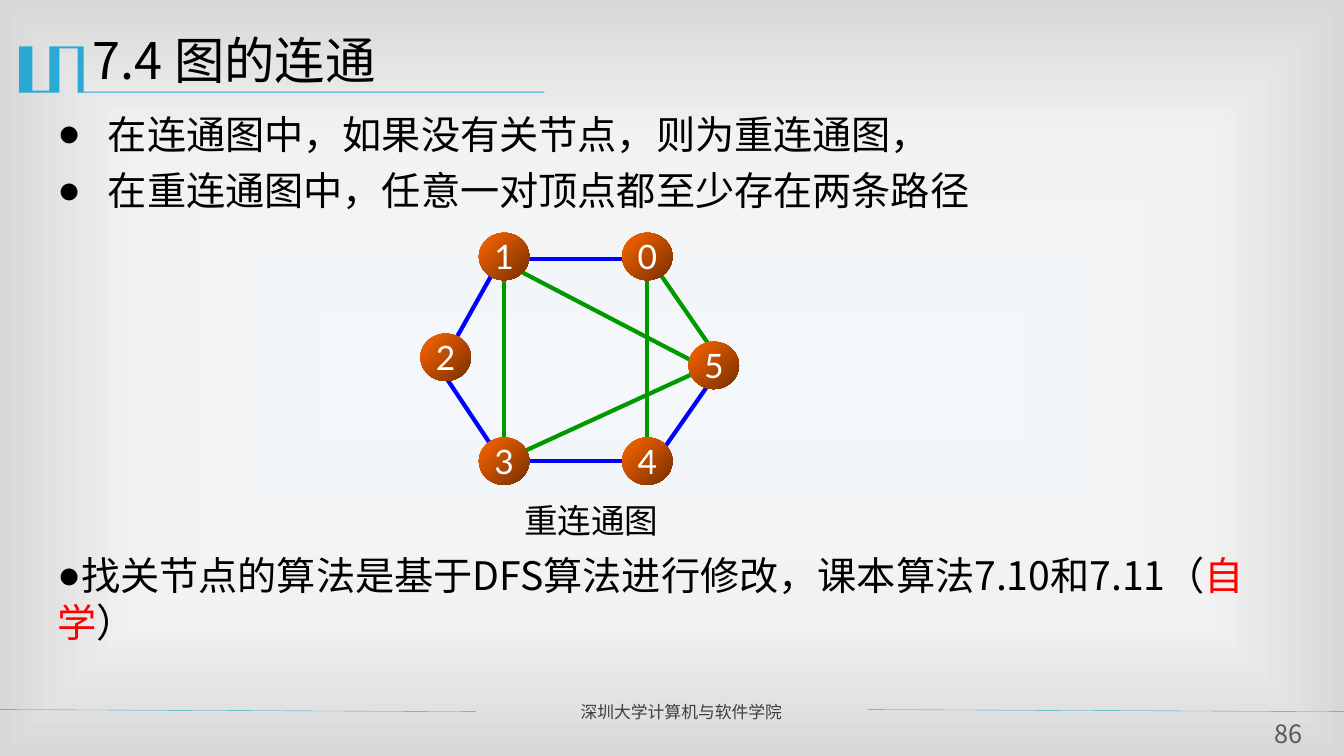
from lxml import etree
from pptx import Presentation
from pptx import util as u
from pptx.dml.color import RGBColor
from pptx.enum import shapes, text
from pptx.oxml import parse_xml
from pptx.oxml.ns import nsdecls, qn

INK = {"black": "000000", "red": "FF0000", "white": "FFFFFF", "cyan": "28A9D6",
       "blue": "0000FF", "green": "009900", "orange": "FF6600", "brown": "762F00",
       "dark": "3F3F3F", "grey": "595959",
       "core": "F4F8FB", "mid": "F2F2F2", "rim": "D8D8D8"}
SANS = "Noto Sans CJK SC"
ALIGN = text.PP_ALIGN
ANCHOR = text.MSO_ANCHOR


def rgb(name):
    return RGBColor.from_string(INK[name])


def write(para, words, size, color="black", font=SANS, align=None,
          before=None, bullet=None, hang=0):
    """Fill a paragraph with a string, or with (string, colour) pairs."""
    para.line_spacing = 1.0
    if align is not None:
        para.alignment = align
    if before is not None:
        para.space_before = u.Pt(before)
    if bullet:
        props = para._p.get_or_add_pPr()
        props.set("marL", str(u.Inches(hang)))
        props.set("indent", str(-u.Inches(hang)))
        etree.SubElement(props, qn("a:buChar")).set("char", bullet)
    parts = [(words, color)] if isinstance(words, str) else words
    for part, ink in parts:
        run = para.add_run()
        run.text = part
        run.font.size = u.Pt(size)
        run.font.name = font
        run.font.color.rgb = rgb(ink)
        east = etree.SubElement(run._r.get_or_add_rPr(), qn("a:ea"))
        east.set("typeface", font)


def place(shape, box):
    shape.left, shape.top, shape.width, shape.height = map(u.Inches, box)


def label(slide, box, words, size, inset=0.1, wrap=True, **fmt):
    frame = slide.shapes.add_textbox(*map(u.Inches, box)).text_frame
    frame.word_wrap = wrap
    frame.margin_left = frame.margin_right = u.Inches(inset)
    frame.margin_top = frame.margin_bottom = u.Inches(inset / 2)
    write(frame.paragraphs[0], words, size, **fmt)


def stroke(slide, ends, color, width):
    line = slide.shapes.add_connector(shapes.MSO_CONNECTOR.STRAIGHT, *map(u.Inches, ends))
    line.line.color.rgb = rgb(color)
    line.line.width = u.Pt(width)
    etree.SubElement(line._element.spPr, qn("a:effectLst"))


def backdrop(slide):
    stops = "".join(f'<a:gs pos="{pos}000"><a:srgbClr val="{INK[name]}"/></a:gs>'
                    for pos, name in ((0, "core"), (63, "mid"), (100, "rim")))
    slide._element.cSld.insert(0, parse_xml(
        f'<p:bg {nsdecls("p", "a")}><p:bgPr><a:gradFill><a:gsLst>{stops}</a:gsLst>'
        '<a:path path="rect"><a:fillToRect l="50000" t="50000" r="50000" b="50000"/>'
        '</a:path></a:gradFill><a:effectLst/></p:bgPr></p:bg>'))


def banner(slide, box):
    """Meander ornament that runs out into the rule under the title."""
    left, top, wide, high = box
    points = [(0.63, 0), (0.64, 0), (0.64, high - 0.01), (wide, high - 0.01),
              (wide, high), (0.58, high), (0.58, 0.02), (0.4, 0.02), (0.4, high),
              (0, high), (0, 0), (0.13, 0), (0.13, 0.44), (0.3, 0.44), (0.3, 0)]
    spots = [(u.Inches(left + x), u.Inches(top + y)) for x, y in points]
    build = slide.shapes.build_freeform(*spots[0])
    build.add_line_segments(spots[1:], close=True)
    shape = build.convert_to_shape()
    shape.shadow.inherit = False
    shape.fill.solid()
    shape.fill.fore_color.rgb = rgb("cyan")
    shape.line.fill.background()


def heading(slide, box):
    title = slide.shapes.title
    place(title, box)
    frame = title.text_frame
    frame.vertical_anchor = ANCHOR.TOP
    frame.auto_size = text.MSO_AUTO_SIZE.NONE
    write(frame.paragraphs[0], "7.4 图的连通", 36, align=ALIGN.LEFT)


def points(slide, box):
    body = slide.placeholders[1]
    place(body, box)
    frame = body.text_frame
    frame.auto_size = text.MSO_AUTO_SIZE.NONE
    rows = [("在连通图中，如果没有关节点，则为重连通图，", 0, 0.5),
            ("在重连通图中，任意一对顶点都至少存在两条路径", 6.5, 0.5),
            ([("找关节点的算法是基于DFS算法进行修改，课本算法7.10和7.11（", "black"),
              ("自学", "red"), ("）", "black")], 241.5, 0)]
    for i, (words, before, hang) in enumerate(rows):
        para = frame.add_paragraph() if i else frame.paragraphs[0]
        write(para, words, 28, before=before, bullet="●", hang=hang)


def node(slide, box, name):
    ball = slide.shapes.add_shape(shapes.MSO_SHAPE.OVAL, *map(u.Inches, box))
    ball.shadow.inherit = False
    ball.line.fill.background()
    ball.fill.gradient()
    ball.fill.gradient_angle = 315
    for stop, color in zip(ball.fill.gradient_stops, ("orange", "brown")):
        stop.color.rgb = rgb(color)
    frame = ball.text_frame
    frame.word_wrap = False
    frame.vertical_anchor = ANCHOR.MIDDLE
    frame.margin_left = frame.margin_right = 0
    write(frame.paragraphs[0], name, 24, "white", "Lato", ALIGN.CENTER)


def graph(slide, box):
    left, top, wide, high = box
    edges = {
        "blue": [(2.08, 0.26, 1.08, 0.26), (0.75, 0.34, 0.33, 1.09),
                 (0.75, 2.18, 0.25, 1.43), (2.16, 2.26, 0.91, 2.26),
                 (2.91, 1.43, 2.33, 2.26)],
        "green": [(2.25, 0.43, 2.25, 2.09), (2.33, 0.34, 2.91, 1.18),
                  (0.83, 2.18, 0.83, 0.43), (2.83, 1.34, 0.91, 0.34),
                  (2.83, 1.34, 1, 2.18)]}
    for color, lines in edges.items():
        for x1, y1, x2, y2 in lines:
            stroke(slide, (left + x1, top + y1, left + x2, top + y2), color, 3)
    nodes = {"1": (0.58, 0), "3": (0.58, 2.03), "2": (0, 1),
             "5": (2.66, 1.08), "4": (2, 2.03), "0": (2, 0)}
    for name, (x, y) in nodes.items():
        node(slide, (left + x, top + y, 0.5, 0.47), name)
    label(slide, (left + 0.93, top + high - 0.5, wide - 1.4, 0.5), "重连通图", 24, wrap=False)


def footer(slide, box):
    left, top, wide, high = box
    for x in (left, left + wide - 4.72):
        stroke(slide, (x, top + 0.13, x + 4.72, top + 0.15), "cyan", 0.25)
    label(slide, (left + 5.66, top, 2.85, 0.3), "深圳大学计算机与软件学院", 12, color="dark")
    label(slide, (left + 12.48, top + high - 0.37, 0.59, 0.31), "86", 18, inset=0,
          color="grey", align=ALIGN.CENTER)


def main():
    deck = Presentation()
    deck.slide_width, deck.slide_height = u.Inches(13.33), u.Inches(7.5)
    slide = deck.slides.add_slide(deck.slide_layouts[1])
    backdrop(slide)
    banner(slide, (0.19, 0.46, 5.21, 0.46))
    heading(slide, (0.82, 0.24, 12, 0.87))
    points(slide, (0.47, 1.04, 12.13, 5.63))
    graph(slide, (4.17, 2.31, 3.16, 3.1))
    footer(slide, (0, 6.91, 13.33, 0.59))
    deck.save("out.pptx")


if __name__ == "__main__":
    main()
